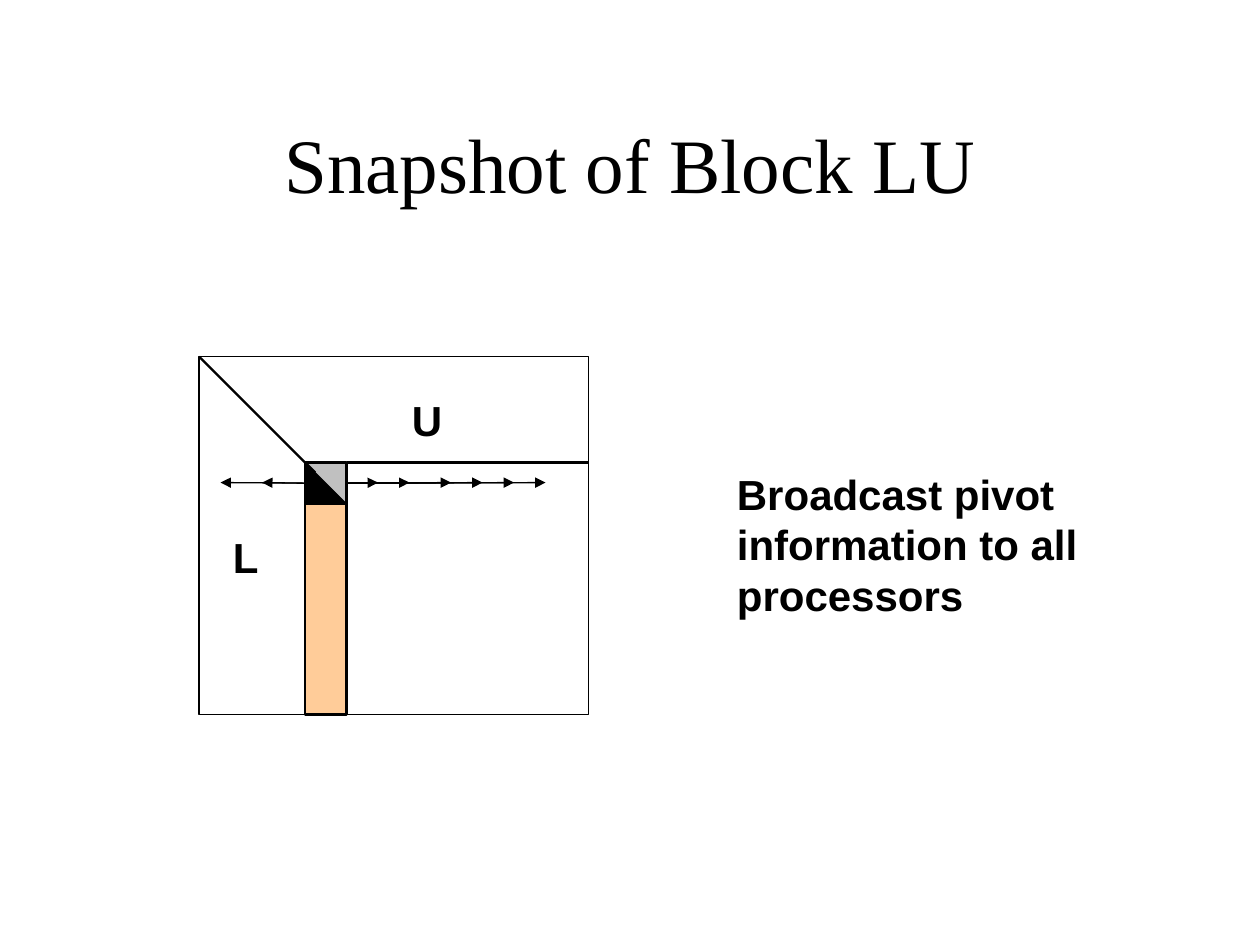
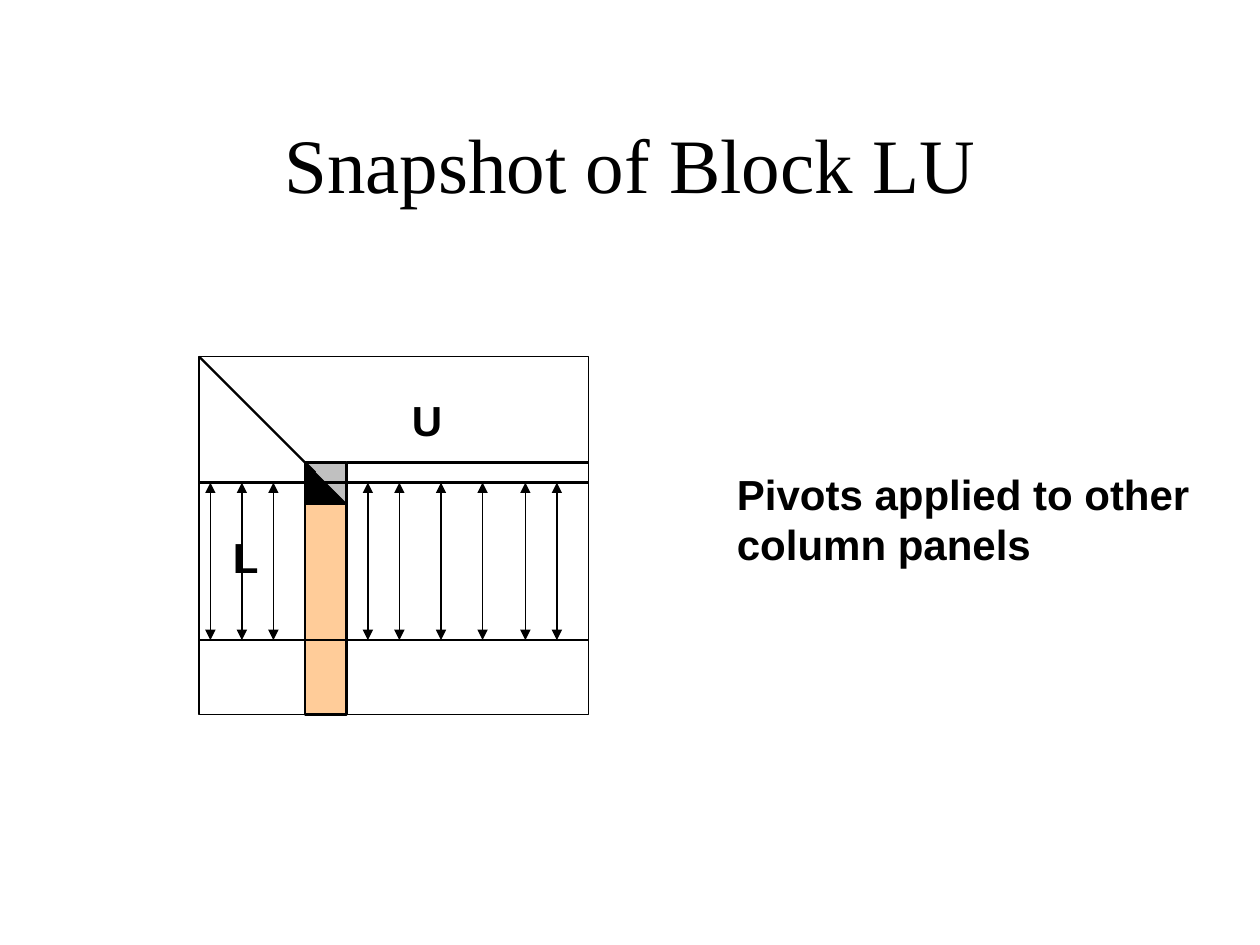
from lxml import etree
from pptx import Presentation
from pptx.dml.color import RGBColor
from pptx.enum.shapes import MSO_CONNECTOR, MSO_SHAPE
from pptx.enum.text import MSO_ANCHOR, MSO_AUTO_SIZE, PP_ALIGN
from pptx.oxml.ns import qn
from pptx.util import Inches, Pt

TITLE = "Snapshot of Block LU"
BROADCAST_NOTE = "Broadcast pivot information to all processors"
PIVOT_NOTE = "Pivots applied to other column panels"
FACTOR_LABELS = [("L", 1.75, 4.17), ("U", 3.17, 3.08)]
BROADCAST_LEFT = [1.75, 2.08]
BROADCAST_RIGHT = [3, 3.25, 3.58, 3.83, 4.08, 4.33]
SWAP_COLUMNS = [1.67, 1.92, 2.17, 2.92, 3.17, 3.5, 3.83, 4.17, 4.42]

BLACK = RGBColor(0x00, 0x00, 0x00)
GRAY = RGBColor(0xC0, 0xC0, 0xC0)
PEACH = RGBColor(0xFF, 0xCC, 0x99)

MATRIX_LEFT, MATRIX_TOP, MATRIX_RIGHT, MATRIX_BOTTOM = 1.58, 2.83, 4.67, 5.67
PANEL_LEFT, PANEL_RIGHT = 2.42, 2.75
BLOCK_TOP, BLOCK_BOTTOM = 3.67, 4
PIVOT_ROW, SWAP_ROW = 3.83, 5.08
LEFT_SIDE, RIGHT_SIDE = 1, 3
THIN, MEDIUM, THICK = 0.75, 1.25, 1.5


def set_outline(shape, width):
    shape.line.color.rgb = BLACK
    shape.line.width = Pt(width)


def set_fill(shape, color):
    shape.shadow.inherit = False
    if color is None:
        shape.fill.background()
    else:
        shape.fill.solid()
        shape.fill.fore_color.rgb = color


def add_box(slide, left, top, right, bottom, width, color=None):
    box = slide.shapes.add_shape(
        MSO_SHAPE.RECTANGLE, Inches(left), Inches(top),
        Inches(right - left), Inches(bottom - top))
    set_fill(box, color)
    set_outline(box, width)
    return box


def add_line(slide, start, end, width, arrowheads=()):
    line = slide.shapes.add_connector(
        MSO_CONNECTOR.STRAIGHT, *map(Inches, start), *map(Inches, end))
    set_outline(line, width)
    for arrowhead in arrowheads:
        etree.SubElement(line.line._get_or_add_ln(), qn(arrowhead), type="triangle")
    etree.SubElement(line._element.spPr, qn("a:effectLst"))
    return line


def add_text(slide, text, left, top, width, height, wrap):
    box = slide.shapes.add_textbox(
        Inches(left), Inches(top), Inches(width), Inches(height))
    frame = box.text_frame
    frame.word_wrap = wrap
    frame.auto_size = MSO_AUTO_SIZE.SHAPE_TO_FIT_TEXT
    paragraph = frame.paragraphs[0]
    paragraph.text = text
    paragraph.space_before = Pt(15)
    paragraph.font.name = "Arial"
    paragraph.font.size = Pt(24)
    paragraph.font.bold = True
    paragraph.font.color.rgb = BLACK


def add_title(slide):
    title = slide.shapes.title
    title.left, title.top = Inches(0.75), Inches(0.67)
    title.width, title.height = Inches(8.5), Inches(1.25)
    title.text_frame.vertical_anchor = MSO_ANCHOR.MIDDLE
    paragraph = title.text_frame.paragraphs[0]
    paragraph.text = TITLE
    paragraph.alignment = PP_ALIGN.CENTER
    paragraph.font.name = "Times New Roman"
    paragraph.font.size = Pt(44)
    paragraph.font.color.rgb = BLACK


def add_lower_triangle(slide):
    builder = slide.shapes.build_freeform(Inches(PANEL_LEFT), Inches(BLOCK_BOTTOM))
    builder.add_line_segments([
        (Inches(PANEL_LEFT), Inches(BLOCK_TOP)),
        (Inches(PANEL_RIGHT), Inches(BLOCK_BOTTOM))], close=True)
    triangle = builder.convert_to_shape()
    set_fill(triangle, BLACK)
    set_outline(triangle, THIN)


def add_matrix_slide(presentation, note, note_height):
    slide = presentation.slides.add_slide(presentation.slide_layouts[5])
    add_title(slide)
    add_box(slide, MATRIX_LEFT, MATRIX_TOP, MATRIX_RIGHT, MATRIX_BOTTOM, THIN)
    pivot_block = add_box(
        slide, PANEL_LEFT, BLOCK_TOP, PANEL_RIGHT, BLOCK_BOTTOM, THICK, GRAY)
    add_line(slide, (MATRIX_LEFT, MATRIX_TOP), (PANEL_LEFT, BLOCK_TOP), MEDIUM)
    for label, left, top in FACTOR_LABELS:
        add_text(slide, label, left, top, 0.41, 0.5, False)
    add_line(slide, (PANEL_LEFT, BLOCK_BOTTOM), (PANEL_LEFT, MATRIX_BOTTOM), THICK)
    add_line(slide, (PANEL_RIGHT, BLOCK_TOP), (MATRIX_RIGHT, BLOCK_TOP), THICK)
    add_text(slide, note, 5.75, 3.67, 3.92, note_height, True)
    add_box(slide, PANEL_LEFT, BLOCK_BOTTOM, PANEL_RIGHT, MATRIX_BOTTOM, THICK, PEACH)
    add_line(slide, (PANEL_LEFT, BLOCK_TOP), (2.5, 3.75), THICK)
    add_lower_triangle(slide)
    return slide, pivot_block


def add_broadcast_arrows(slide, pivot_block):
    for side, start, ends in [(LEFT_SIDE, PANEL_LEFT, BROADCAST_LEFT),
                              (RIGHT_SIDE, PANEL_RIGHT, BROADCAST_RIGHT)]:
        for end in ends:
            arrow = add_line(
                slide, (start, PIVOT_ROW), (end, PIVOT_ROW), THIN, ["a:tailEnd"])
            arrow.begin_connect(pivot_block, side)


def add_row_swaps(slide):
    for row in (PIVOT_ROW, SWAP_ROW):
        add_line(slide, (MATRIX_LEFT, row), (MATRIX_RIGHT, row), THICK)
    for column in SWAP_COLUMNS:
        add_line(slide, (column, PIVOT_ROW), (column, SWAP_ROW), THIN,
                 ["a:headEnd", "a:tailEnd"])


def main():
    presentation = Presentation()
    presentation.slide_width = Inches(10)
    presentation.slide_height = Inches(7.5)
    broadcast_slide, pivot_block = add_matrix_slide(presentation, BROADCAST_NOTE, 1.3)
    add_broadcast_arrows(broadcast_slide, pivot_block)
    swap_slide, _ = add_matrix_slide(presentation, PIVOT_NOTE, 0.9)
    add_row_swaps(swap_slide)
    presentation.save("out.pptx")


if __name__ == "__main__":
    main()
